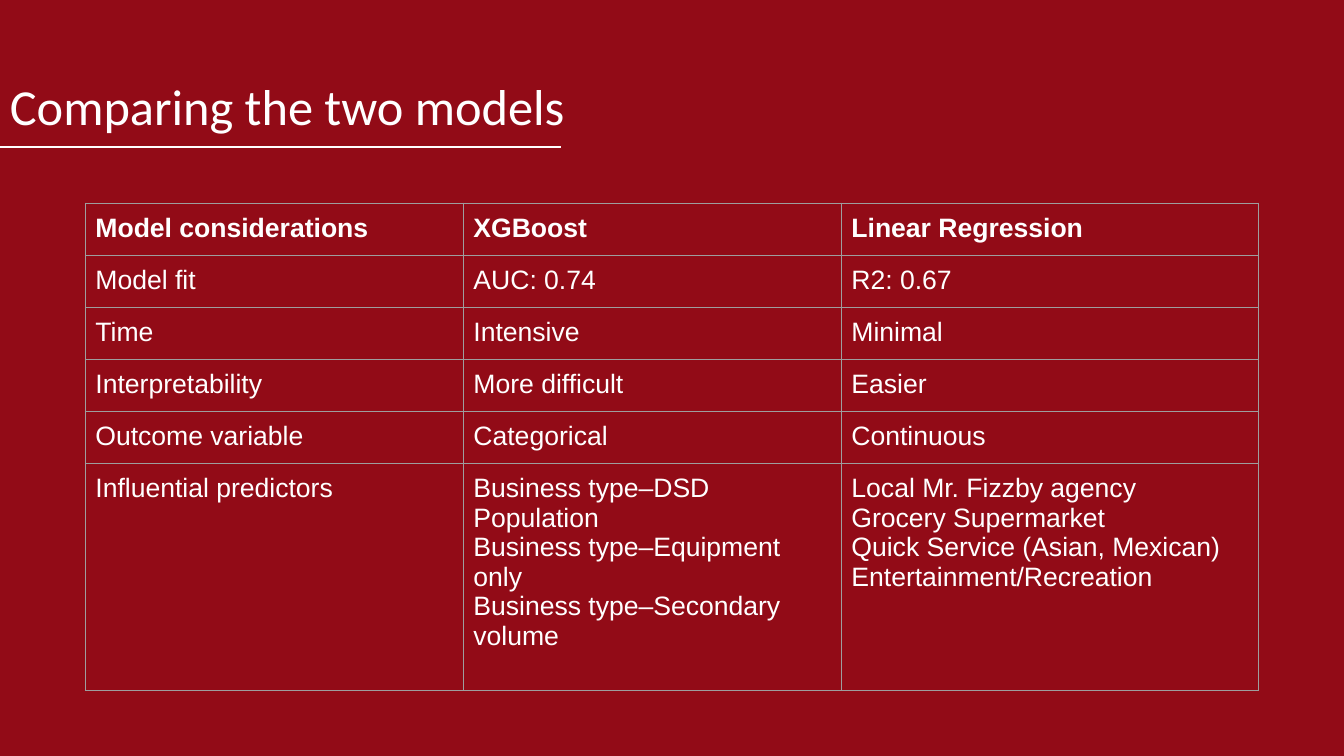
import pptx
import pptx.util
import pptx.dml.color
import pptx.enum.shapes
import pptx.enum.text
import pptx.oxml
import pptx.oxml.ns

Pt = pptx.util.Pt
RGBColor = pptx.dml.color.RGBColor

TITLE = "Comparing the two models"
ROWS = [
    ("Model considerations", "XGBoost", "Linear Regression"),
    ("Model fit", "AUC: 0.74", "R2: 0.67"),
    ("Time", "Intensive", "Minimal"),
    ("Interpretability", "More difficult", "Easier"),
    ("Outcome variable", "Categorical", "Continuous"),
    ("Influential predictors",
     "Business type–DSD\nPopulation\nBusiness type–Equipment only\n"
     "Business type–Secondary volume",
     "Local Mr. Fizzby agency\nGrocery Supermarket\n"
     "Quick Service (Asian, Mexican)\nEntertainment/Recreation"),
]
COL_WIDTHS = [270, 270, 298]
ROW_HEIGHTS = [35.4] * 5 + [162]
TABLE_LEFT, TABLE_TOP = 61, 145
INSET = 7.2
RULE_Y, RULE_END = 105, 401

RED = RGBColor(0x92, 0x0B, 0x17)
WHITE = RGBColor(0xFF, 0xFF, 0xFF)
GREY = RGBColor(0x9E, 0x9E, 0x9E)


def write(tf, text, size, font, bold=False, spacing=1.0):
    """Fill a text frame, one paragraph for each line of text."""
    for i, line in enumerate(text.split("\n")):
        p = tf.add_paragraph() if i else tf.paragraphs[0]
        p.line_spacing = spacing
        r = p.add_run()
        r.text = line
        r.font.size = Pt(size)
        r.font.name = font
        r.font.bold = bold
        r.font.color.rgb = WHITE


def set_margins(box):
    box.margin_left = box.margin_right = Pt(INSET)
    box.margin_top = box.margin_bottom = Pt(INSET)


def add_borders(cell, color, width):
    tcPr = cell._tc.get_or_add_tcPr()
    for i, side in enumerate(("lnL", "lnR", "lnT", "lnB")):
        tcPr.insert(i, pptx.oxml.parse_xml(
            f'<a:{side} {pptx.oxml.ns.nsdecls("a")} w="{Pt(width)}">'
            f'<a:solidFill><a:srgbClr val="{color}"/></a:solidFill></a:{side}>'))


def add_title(s):
    sp = s.shapes.add_textbox(0, Pt(28), Pt(894), Pt(77))
    tf = sp.text_frame
    tf.word_wrap = True
    tf.vertical_anchor = pptx.enum.text.MSO_ANCHOR.BOTTOM
    set_margins(tf)
    write(tf, TITLE, size=36, font="Calibri", spacing=0.9)

    rule = s.shapes.add_connector(pptx.enum.shapes.MSO_CONNECTOR.STRAIGHT,
                                  0, Pt(RULE_Y), Pt(RULE_END), Pt(RULE_Y))
    rule.line.color.rgb = WHITE
    rule.line.width = Pt(1.5)
    rule._element.spPr.append(pptx.oxml.parse_xml(
        f'<a:effectLst {pptx.oxml.ns.nsdecls("a")}/>'))


def add_comparison(s):
    table = s.shapes.add_table(len(ROWS), len(COL_WIDTHS),
                               Pt(TABLE_LEFT), Pt(TABLE_TOP),
                               Pt(sum(COL_WIDTHS)), Pt(sum(ROW_HEIGHTS))).table
    table.horz_banding = False
    for col, width in zip(table.columns, COL_WIDTHS):
        col.width = Pt(width)
    for i, (row, height) in enumerate(zip(table.rows, ROW_HEIGHTS)):
        row.height = Pt(height)
        for cell, text in zip(row.cells, ROWS[i]):
            set_margins(cell)
            cell.fill.background()
            add_borders(cell, GREY, 0.75)
            write(cell.text_frame, text, size=19, font="Arial", bold=i == 0)


def main():
    prs = pptx.Presentation()
    prs.slide_width, prs.slide_height = Pt(960), Pt(540)
    s = prs.slides.add_slide(prs.slide_layouts[6])
    s.background.fill.solid()
    s.background.fill.fore_color.rgb = RED
    add_title(s)
    add_comparison(s)
    prs.save("out.pptx")


if __name__ == "__main__":
    main()
